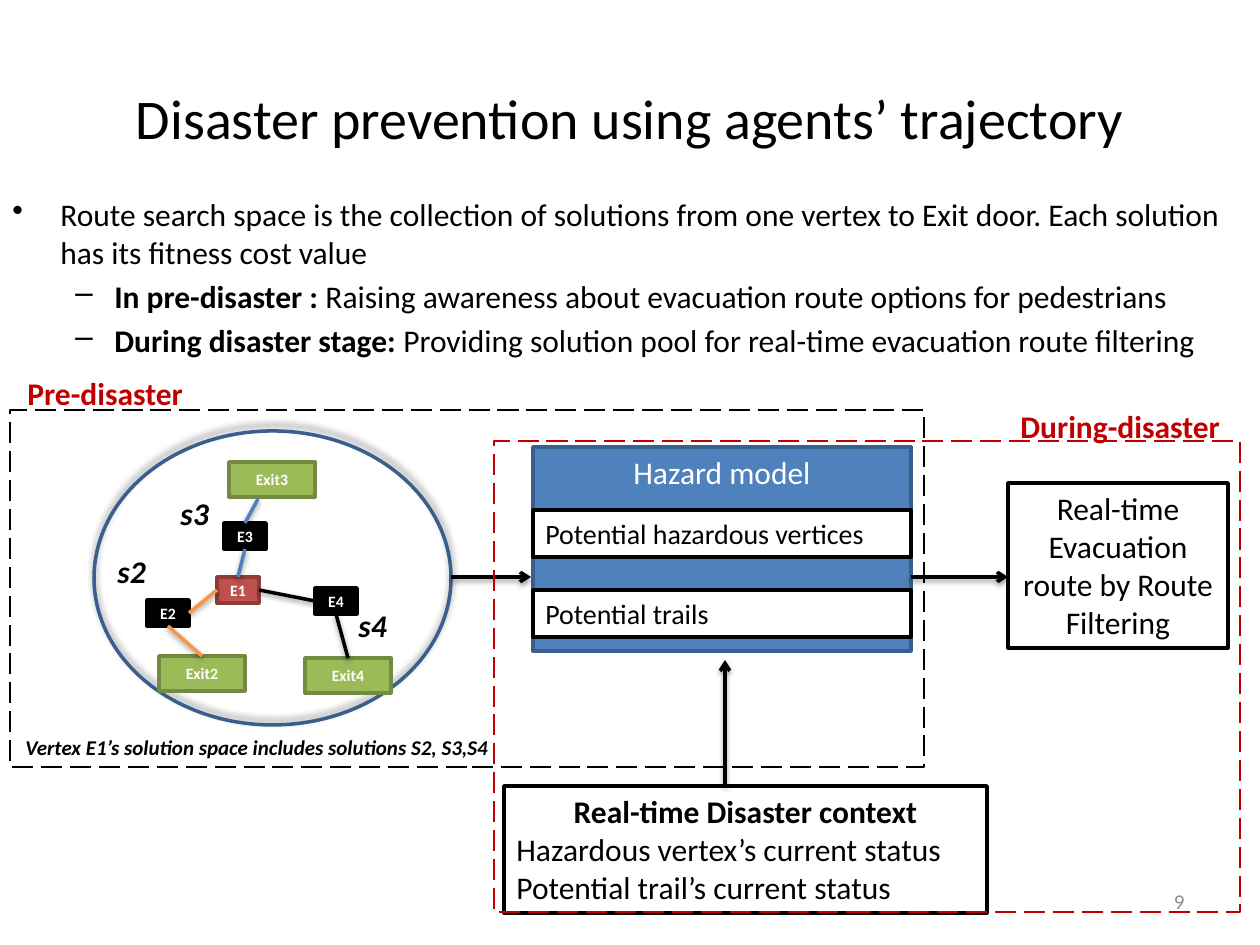
from pptx import Presentation
from pptx.dml.color import RGBColor
from pptx.enum.dml import MSO_LINE
from pptx.enum.shapes import MSO_CONNECTOR, MSO_SHAPE
from pptx.enum.text import MSO_ANCHOR, PP_ALIGN
from pptx.oxml import parse_xml
from pptx.oxml.ns import nsdecls
from pptx.util import Emu, Pt

PX = 914400 / 126
HEX = {
    "black": "000000", "white": "FFFFFF", "gray": "8C8C8C",
    "blue": "4F81BD", "navy": "3A5F8C", "red": "C0504D", "wine": "8E3B39",
    "green": "9BBB59", "moss": "738A42", "orange": "F79646", "alert": "C00000",
}
LEFT, MID, RIGHT = PP_ALIGN.LEFT, PP_ALIGN.CENTER, PP_ALIGN.RIGHT
RECT = MSO_SHAPE.RECTANGLE
BODY = {"name": "Calibri", "size": Pt(18)}
BOLD = {**BODY, "bold": True}
SLANT = {**BOLD, "italic": True}
SMALL = {**BODY, "size": Pt(16)}
NODE = {**BOLD, "size": Pt(9)}
SHADOW = (
    "<a:effectLst %s><a:outerShdw blurRad='{}' dist='{}' dir='{}' rotWithShape='0'>"
    "<a:srgbClr val='000000'><a:alpha val='{}'/></a:srgbClr>"
    "</a:outerShdw></a:effectLst>" % nsdecls("a")
)

deck = Presentation()
deck.slide_width, deck.slide_height = Emu(9144000), Emu(6858000)
slide = deck.slides.add_slide(deck.slide_layouts[6])
shapes = slide.shapes


def box(at, rows=(), fmt=BODY, ink="black", align=LEFT, mid=False,
        kind=None, fill=None, edge=None, wide=2, dash=None, pad=None):
    """Add a shape, or a text box if no kind is given; a row is a list of (text, format)."""
    spot = [Emu(round(n * PX)) for n in at]
    if kind is None:
        shape = shapes.add_textbox(*spot)
    else:
        shape = shapes.add_shape(kind, *spot)
        shape.shadow.inherit = False
    if fill:
        shape.fill.solid()
        shape.fill.fore_color.rgb = RGBColor.from_string(HEX[fill])
    else:
        shape.fill.background()
    if edge:
        shape.line.color.rgb = RGBColor.from_string(HEX[edge])
        shape.line.width = Pt(wide)
        shape.line.dash_style = dash
    else:
        shape.line.fill.background()
    frame = shape.text_frame
    frame.word_wrap = True
    frame.vertical_anchor = MSO_ANCHOR.MIDDLE if mid else MSO_ANCHOR.TOP
    if pad is not None:
        frame.margin_left = frame.margin_right = Emu(round(pad * PX))
    if isinstance(rows, str):
        rows = [[(rows, fmt)]]
    for i, row in enumerate(rows):
        para = frame.add_paragraph() if i else frame.paragraphs[0]
        para.alignment = align
        for text, look in row:
            run = para.add_run()
            run.text = text
            run.font.color.rgb = RGBColor.from_string(HEX[ink])
            for key, value in look.items():
                setattr(run.font, key, value)
    return shape


def wire(start, end, ink="black", arrow=False):
    """Add a shadowed straight line between two points."""
    ends = [Emu(round(n * PX)) for n in (*start, *end)]
    line = shapes.add_connector(MSO_CONNECTOR.STRAIGHT, *ends)
    line.line.color.rgb = RGBColor.from_string(HEX[ink])
    line.line.width = Pt(2)
    if arrow:
        line.line._get_or_add_ln().append(
            parse_xml("<a:tailEnd %s type='arrow'/>" % nsdecls("a")))
    line._element.spPr.append(
        parse_xml(SHADOW.format(Pt(3.1), Pt(1.6), 90 * 60000, 38000)))
    return line


# Title
box((0, 38, 1260, 158), "Disaster prevention using agents’ trajectory",
    {**BODY, "size": Pt(32)}, align=MID, mid=True)

# Solution space
space = box((94, 431, 357, 294), kind=MSO_SHAPE.OVAL, edge="navy")
props = space._element.spPr
props.remove(props[-1])
props.append(parse_xml(SHADOW.format(Pt(4), Pt(3), 270 * 60000, 40000)))

# Bullets
body = box((0, 189, 1260, 179), [
    [("Route search space is the collection of solutions from one vertex "
      "to Exit door. Each solution has its fitness cost value", BODY)],
    [("In pre-disaster :", BOLD),
     (" Raising awareness about evacuation route options for pedestrians", BODY)],
    [("During disaster stage: ", BOLD),
     ("Providing solution pool for real-time evacuation route filtering", BODY)],
])
levels = [(0, 48, 48, "•"), (1, 102, 39, "–"), (1, 102, 39, "–")]
for para, (level, left, hang, mark) in zip(body.text_frame.paragraphs, levels):
    para.level = level
    para.space_before = Pt(3.6)
    props = para._p.get_or_add_pPr()
    props.set("marL", str(round(left * PX)))
    props.set("indent", str(round(-hang * PX)))
    props.append(parse_xml("<a:buChar %s char='%s'/>" % (nsdecls("a"), mark)))

# Graph nodes
nodes = {}
for name, x, y, fill, edge in [
    ("E1", 217, 577, "red", "wine"),
    ("E2", 147, 600, "black", "black"),
    ("E3", 224, 523, "black", "black"),
    ("E4", 315, 588, "black", "black"),
    ("Exit2", 159, 656, "green", "moss"),
    ("Exit3", 229, 462, "green", "moss"),
    ("Exit4", 305, 658, "green", "moss"),
]:
    size = (86, 35) if name.startswith("Exit") else (42, 26)
    nodes[name] = box((x, y, *size), name, NODE, "white", MID, True,
                      RECT, fill, edge, pad=0)

# Graph links
for first, out, last, into, ink in [
    ("E1", 3, "E4", 1, "black"),
    ("Exit4", 0, "E4", 2, "black"),
    ("E3", 2, "E1", 0, "blue"),
    ("E1", 1, "E2", 3, "orange"),
    ("Exit2", 0, "E2", 2, "orange"),
]:
    link = wire((0, 0), (1, 1), ink)
    link.begin_connect(nodes[first], out)
    link.end_connect(nodes[last], into)
wire((258, 499), (245, 523), "blue").end_connect(nodes["E3"], 0)

# Route names
for name, x, y in [("s2", 105, 546), ("s3", 168, 488), ("s4", 346, 600)]:
    box((x, y, 94, 50), name, SLANT)

# Slide number
box((903, 876, 294, 50), "9", {**BODY, "size": Pt(12)}, "gray", RIGHT, True)

# Hazard model
box((533, 447, 378, 204), "Hazard model", ink="white", align=MID,
    kind=RECT, fill="blue", edge="navy")
for y, text in [(510, "Potential hazardous vertices"), (590, "Potential trails")]:
    box((533, y, 378, 47), text, SMALL, kind=RECT, fill="white", edge="black")

# Context and result
context = box((504, 786, 483, 127), [
    [("Real-time Disaster context", BOLD)],
    [("Hazardous vertex’s current status", BODY)],
    [("Potential trail’s current status", BODY)],
], kind=RECT, fill="white", edge="black")
context.text_frame.paragraphs[0].alignment = MID
box((1008, 483, 220, 165), "Real-time Evacuation route by Route Filtering",
    align=MID, kind=RECT, fill="white", edge="black")

# Flow arrows
for start, end in [((451, 577), (531, 577)), ((725, 786), (725, 660)),
                   ((911, 577), (1008, 577))]:
    wire(start, end, arrow=True)

# Caption
box((-42, 728, 598, 38), "Vertex E1’s solution space includes solutions S2, S3,S4",
    {**SLANT, "size": Pt(12)}, align=MID, kind=RECT, fill="white")

# Stage frames and labels
for frame, edge, label, text in [
    ((10, 410, 914, 357), "black", (15, 368, 300, 50), "Pre-disaster"),
    ((494, 441, 746, 471), "alert", (1008, 401, 231, 50), "During-disaster"),
]:
    box(frame, kind=RECT, edge=edge, wide=1.5, dash=MSO_LINE.LONG_DASH)
    box(label, text, BOLD, "alert")

deck.save("out.pptx")
